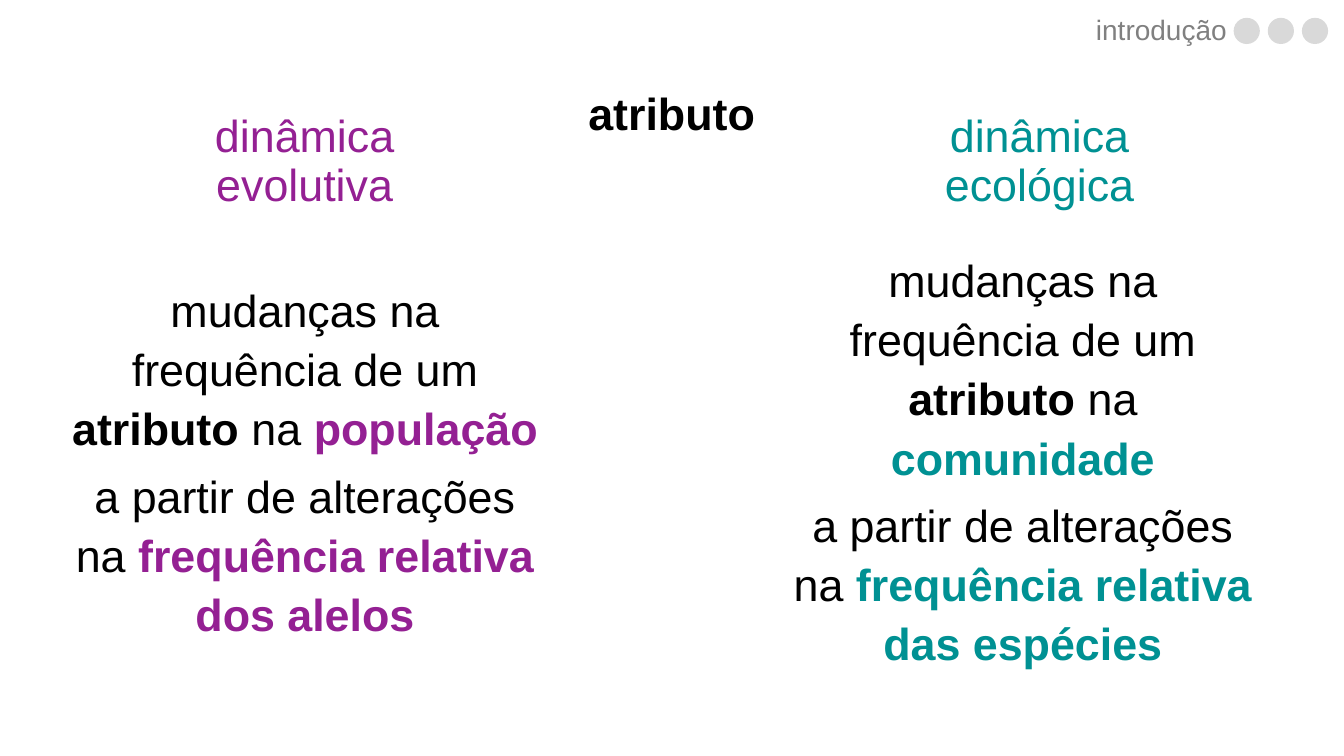
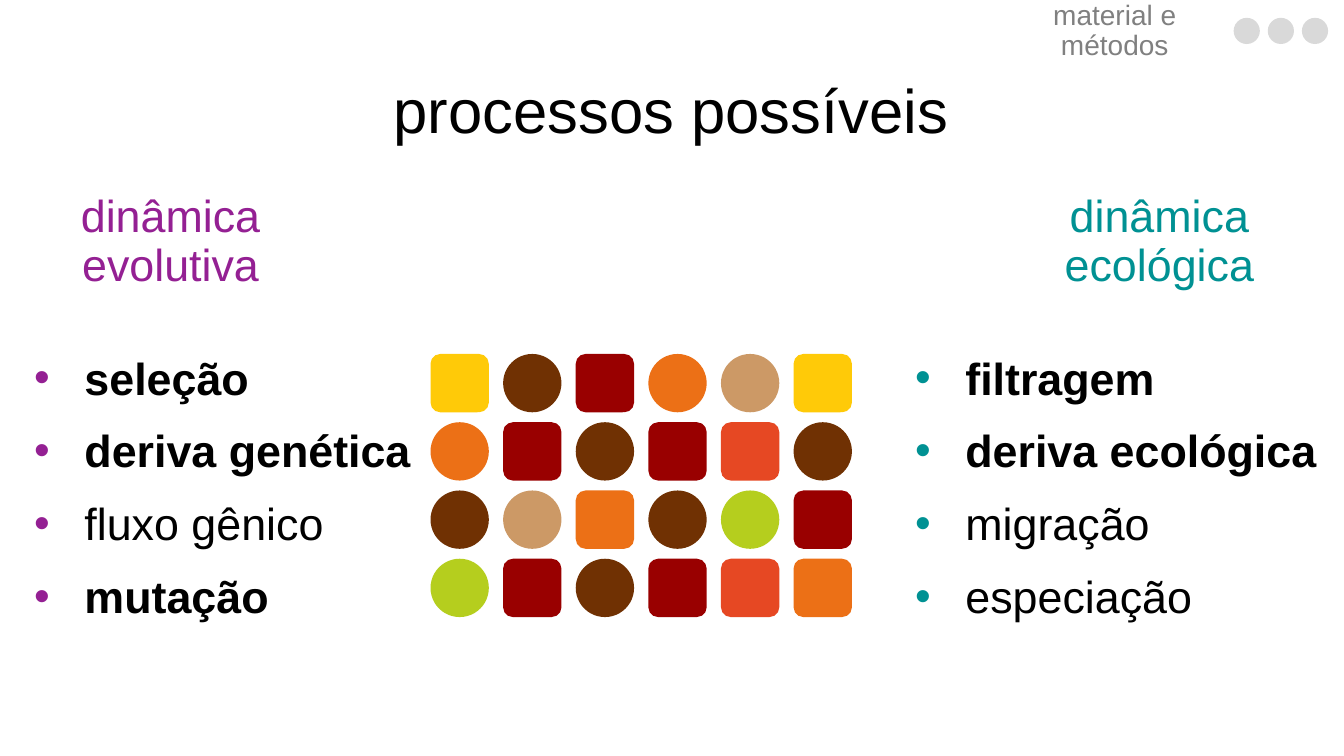
from lxml import etree
from pptx import Presentation
from pptx import util as u
from pptx.dml.color import RGBColor
from pptx.enum import shapes, text
from pptx.oxml import ns

FONT = "Arial"
BLACK = RGBColor(0x00, 0x00, 0x00)
GREY = RGBColor(0x80, 0x80, 0x80)
LIGHT_GREY = RGBColor(0xD9, 0xD9, 0xD9)
PURPLE = RGBColor(0x94, 0x20, 0x93)
TEAL = RGBColor(0x00, 0x91, 0x93)
YELLOW = RGBColor(0xFF, 0xCA, 0x08)
BROWN = RGBColor(0x70, 0x31, 0x03)
RED = RGBColor(0x99, 0x00, 0x00)
ORANGE = RGBColor(0xEC, 0x70, 0x16)
TAN = RGBColor(0xCC, 0x99, 0x66)
TOMATO = RGBColor(0xE6, 0x48, 0x23)
LIME = RGBColor(0xB5, 0xCE, 0x1E)

CIRCLE = shapes.MSO_SHAPE.OVAL
SQUARE = shapes.MSO_SHAPE.ROUNDED_RECTANGLE
LEFT, CENTER, RIGHT = text.PP_ALIGN.LEFT, text.PP_ALIGN.CENTER, text.PP_ALIGN.RIGHT
TOP, MIDDLE = text.MSO_ANCHOR.TOP, text.MSO_ANCHOR.MIDDLE

HEADING_WIDTH, HEADING_HEIGHT = 8.2, 3.68
BODY_HEIGHT = 9.5

COMMUNITY = [
    [(SQUARE, YELLOW), (CIRCLE, BROWN), (SQUARE, RED),
     (CIRCLE, ORANGE), (CIRCLE, TAN), (SQUARE, YELLOW)],
    [(CIRCLE, ORANGE), (SQUARE, RED), (CIRCLE, BROWN),
     (SQUARE, RED), (SQUARE, TOMATO), (CIRCLE, BROWN)],
    [(CIRCLE, BROWN), (CIRCLE, TAN), (SQUARE, ORANGE),
     (CIRCLE, BROWN), (CIRCLE, LIME), (SQUARE, RED)],
    [(CIRCLE, LIME), (SQUARE, RED), (CIRCLE, BROWN),
     (SQUARE, RED), (SQUARE, TOMATO), (SQUARE, ORANGE)],
]


def set_font(paragraph, size, color=BLACK, bold=False):
    font = paragraph.font
    font.name, font.size, font.bold = FONT, u.Pt(size), bold
    font.color.rgb = color


def add_box(slide, left, top, width, height, anchor=MIDDLE):
    box = slide.shapes.add_textbox(u.Cm(left), u.Cm(top), u.Cm(width), u.Cm(height))
    frame = box.text_frame
    frame.word_wrap = True
    frame.vertical_anchor = anchor
    return frame


def add_paragraphs(frame, count):
    return [frame.paragraphs[0]] + [frame.add_paragraph() for _ in range(count - 1)]


def add_label(slide, words, left, top, width, height, size, color, align=CENTER):
    label = add_box(slide, left, top, width, height).paragraphs[0]
    label.text = words
    label.alignment, label.line_spacing = align, 0.9
    set_font(label, size, color)


def add_heading(slide, words, left, top, color):
    add_label(slide, words, left, top, HEADING_WIDTH, HEADING_HEIGHT, 32, color)


def set_title(slide, words, left, top, width, size, bold=False):
    title = slide.shapes.title
    title.left, title.top = u.Cm(left), u.Cm(top)
    title.width, title.height = u.Cm(width), u.Cm(HEADING_HEIGHT)
    frame = title.text_frame
    frame.text = words
    frame.auto_size = text.MSO_AUTO_SIZE.NONE
    frame.vertical_anchor = MIDDLE
    heading = frame.paragraphs[0]
    heading.alignment, heading.line_spacing = CENTER, 0.9
    set_font(heading, size, bold=bold)


def add_definition(slide, left, color, level, units):
    frame = add_box(slide, left, 6.81, 12.34, BODY_HEIGHT)
    sentences = [
        [("mudanças na frequência de um ", None), ("atributo ", BLACK),
         ("na ", None), (level, color)],
        [("a partir de alterações na ", None), (f"frequência relativa {units}", color)],
    ]
    for paragraph, pieces in zip(add_paragraphs(frame, len(sentences)), sentences):
        paragraph.alignment, paragraph.line_spacing = CENTER, 1.1
        paragraph.space_after = u.Pt(6)
        set_font(paragraph, 32)
        for words, emphasis in pieces:
            run = paragraph.add_run()
            run.text = words
            if emphasis is not None:
                run.font.bold = True
                run.font.color.rgb = emphasis


def add_bullet(paragraph, color):
    properties = paragraph._p.get_or_add_pPr()
    indent = u.Cm(1.27)
    properties.set("marL", str(indent))
    properties.set("indent", str(-indent))
    bullet_color = etree.SubElement(properties, ns.qn("a:buClr"))
    etree.SubElement(bullet_color, ns.qn("a:srgbClr"), val=str(color))
    etree.SubElement(properties, ns.qn("a:buFont"), typeface=FONT)
    etree.SubElement(properties, ns.qn("a:buChar"), char="•")


def add_processes(slide, left, width, color, processes):
    frame = add_box(slide, left, 8.43, width, BODY_HEIGHT, TOP)
    for paragraph, (process, studied) in zip(add_paragraphs(frame, len(processes)), processes):
        paragraph.text = process
        paragraph.alignment, paragraph.line_spacing = LEFT, 1.2
        paragraph.space_after = u.Pt(6)
        add_bullet(paragraph, color)
        set_font(paragraph, 32, bold=studied)


def add_token(slide, outline, left, top, size, color):
    token = slide.shapes.add_shape(outline, u.Cm(left), u.Cm(top), u.Cm(size), u.Cm(size))
    token.shadow.inherit = False
    token.fill.solid()
    token.fill.fore_color.rgb = color
    token.line.fill.background()


def add_community(slide):
    for row, individuals in enumerate(COMMUNITY):
        for column, (outline, color) in enumerate(individuals):
            add_token(slide, outline, 10.85 + 1.83 * column, 8.92 + 1.72 * row, 1.47, color)


def add_section_slide(deck, section, align):
    slide = deck.slides.add_slide(deck.slide_layouts[5])
    add_label(slide, section, 25.02, 0.2, 6.15, 1.19, 20, GREY, align)
    for dot in range(3):
        add_token(slide, CIRCLE, 31.09 + 0.86 * dot, 0.45, 0.66, LIGHT_GREY)
    return slide


def build_trait_slide(deck):
    slide = add_section_slide(deck, "introdução", RIGHT)
    set_title(slide, "atributo", 12.83, 1.09, HEADING_WIDTH, 32, bold=True)
    add_heading(slide, "dinâmica evolutiva", 3.58, 2.26, PURPLE)
    add_heading(slide, "dinâmica ecológica", 22.1, 2.26, TEAL)
    add_definition(slide, 1.52, PURPLE, "população", "dos alelos")
    add_definition(slide, 19.61, TEAL, "comunidade", "das espécies")


def build_process_slide(deck):
    slide = add_section_slide(deck, "material e métodos", CENTER)
    set_title(slide, "processos possíveis", 1.42, 1.02, 30.99, 44)
    add_heading(slide, "dinâmica evolutiva", 0.2, 4.27, PURPLE)
    add_heading(slide, "dinâmica ecológica", 25.12, 4.27, TEAL)
    add_processes(slide, 0.61, 10.26, PURPLE, [
        ("seleção", True), ("deriva genética", True),
        ("fluxo gênico", False), ("mutação", True)])
    add_community(slide)
    add_processes(slide, 22.81, 11.05, TEAL, [
        ("filtragem", True), ("deriva ecológica", True),
        ("migração", False), ("especiação", False)])


def main():
    deck = Presentation()
    deck.slide_width, deck.slide_height = u.Cm(33.87), u.Cm(19.05)
    build_trait_slide(deck)
    build_process_slide(deck)
    deck.save("out.pptx")


if __name__ == "__main__":
    main()
